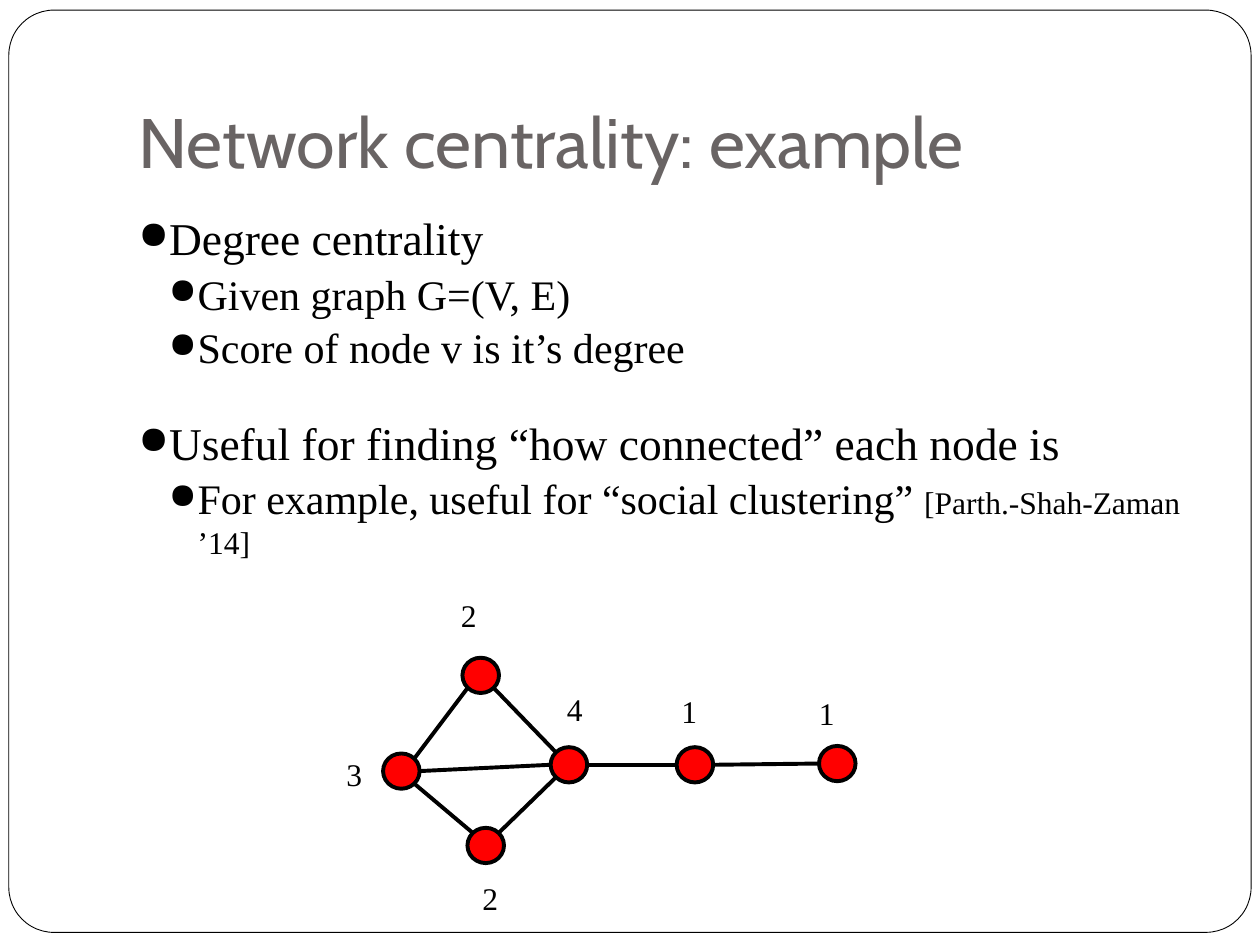
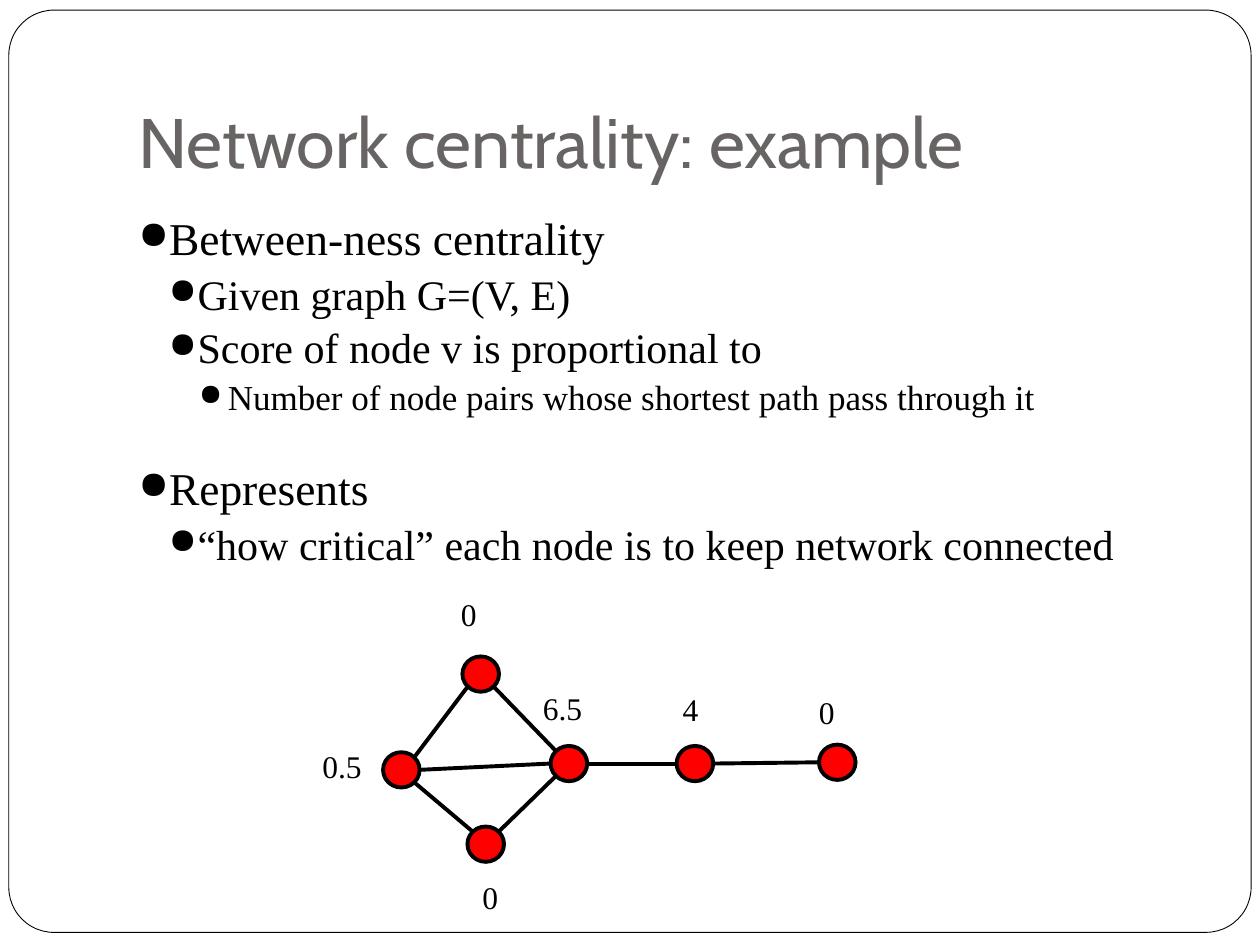
from math import copysign, sqrt

from lxml.etree import SubElement
from pptx import Presentation
from pptx.dml.color import RGBColor
from pptx.enum.shapes import MSO_CONNECTOR, MSO_SHAPE
from pptx.enum.text import MSO_ANCHOR, MSO_AUTO_SIZE, PP_ALIGN
from pptx.oxml.ns import qn
from pptx.util import Inches, Pt

WHITE = RGBColor(0xFF, 0xFF, 0xFF)
BLACK = RGBColor(0x00, 0x00, 0x00)
RED = RGBColor(0xFF, 0x00, 0x00)
GRAY = RGBColor(0x69, 0x64, 0x64)
TITLE_FONT = "Cabin"
BODY_FONT = "Times New Roman"

LEVEL_SIZES = (26, 24, 20)
LEVEL_SPACES = (2.9, 1.85, 1.85)
GROUP_SPACE = 24.5
HANG, LEVEL_STEP = 0.23, 0.24
NODE_W, NODE_H = 0.29, 0.28

NODES = {
    "left": (3.04, 5.98),
    "top": (3.67, 5.22),
    "bottom": (3.71, 6.57),
    "hub": (4.37, 5.93),
    "bridge": (5.37, 5.93),
    "end": (6.5, 5.92),
}
EDGES = [
    ("top", (-1, 1), "left", (1, -1)),
    ("top", (1, 1), "hub", (-1, -1)),
    ("left", (1, 1), "bottom", (-1, -1)),
    ("bottom", (1, -1), "hub", (-1, 1)),
    ("left", (1, 0), "hub", (-1, 0)),
    ("hub", (1, 0), "bridge", (-1, 0)),
    ("bridge", (1, 0), "end", (-1, 0)),
]


def write(p, text, size=18, font=BODY_FONT, color=BLACK):
    r = p.add_run()
    r.text = text
    r.font.size = Pt(size)
    r.font.name = font
    r.font.color.rgb = color


def site(node, direction):
    x, y = NODES[node]
    dx, dy = direction
    reach = 1 / sqrt(dx * dx + dy * dy)
    return (x + NODE_W / 2 * (1 + reach * dx),
            y + NODE_H / 2 * (1 + reach * dy))


class Deck:
    def __init__(self):
        self.prs = Presentation()
        self.prs.slide_width = Inches(10)
        self.prs.slide_height = Inches(7.5)
        self.s = None

    def add_slide(self, title):
        self.s = self.prs.slides.add_slide(self.prs.slide_layouts[5])
        frame = self.shape(MSO_SHAPE.ROUNDED_RECTANGLE, 0.07, 0.08, 9.86, 7.32, WHITE, 0.5)
        frame.adjustments[0] = 0.049
        self.s.shapes._spTree.insert(2, frame._element)
        sp = self.s.shapes.title
        sp.left, sp.top, sp.width, sp.height = map(Inches, (1, 0.3, 8.5, 1.25))
        tf = sp.text_frame
        tf.auto_size = MSO_AUTO_SIZE.NONE
        tf.vertical_anchor = MSO_ANCHOR.BOTTOM
        tf.margin_bottom = Inches(0.1)
        p = tf.paragraphs[0]
        p.alignment = PP_ALIGN.LEFT
        write(p, title, size=40, font=TITLE_FONT, color=GRAY)

    def shape(self, kind, x, y, w, h, fill, line_width):
        sp = self.s.shapes.add_shape(kind, Inches(x), Inches(y), Inches(w), Inches(h))
        sp.shadow.inherit = False
        sp.fill.solid()
        sp.fill.fore_color.rgb = fill
        sp.line.color.rgb = BLACK
        sp.line.width = Pt(line_width)
        return sp

    def line(self, start, end):
        cx = self.s.shapes.add_connector(
            MSO_CONNECTOR.STRAIGHT, *(Inches(v) for v in (*start, *end)))
        cx.line.color.rgb = BLACK
        cx.line.width = Pt(2.25)
        SubElement(cx._element.spPr, qn("a:effectLst"))

    def text_frame(self, x, y, w, h, wrap):
        sp = self.s.shapes.add_textbox(Inches(x), Inches(y), Inches(w), Inches(h))
        sp.text_frame.word_wrap = wrap
        return sp.text_frame

    def label(self, text, x, y):
        width = 0.35 if len(text) == 1 else 0.59
        write(self.text_frame(x, y, width, 0.4, False).paragraphs[0], text)

    def bullets(self, groups, width):
        tf = self.text_frame(1, 1.62, width, 4.96, True)
        p = None
        for group in groups:
            for i, (level, text, *note) in enumerate(group):
                first = p is None
                p = tf.paragraphs[0] if first else tf.add_paragraph()
                pPr = p._p.get_or_add_pPr()
                pPr.set("marL", str(Inches(HANG + LEVEL_STEP * level)))
                pPr.set("indent", str(-Inches(HANG)))
                SubElement(pPr, qn("a:buSzPct"), val="85000")
                SubElement(pPr, qn("a:buChar"), char="●")
                p.level = level
                if not first:
                    p.space_before = Pt(LEVEL_SPACES[level] if i else GROUP_SPACE)
                write(p, text, size=LEVEL_SIZES[level])
                for reference in note:
                    write(p, reference)

    def graph(self, labels, shift=0):
        for a, a_side, b, b_side in EDGES:
            (x1, y1), (x2, y2) = site(a, a_side), site(b, b_side)
            self.line((x1, y1 + shift), (x2, y2 + shift))
        for x, y in NODES.values():
            self.shape(MSO_SHAPE.OVAL, x, y + shift, NODE_W, NODE_H, RED, 2.25)
        for text, x, y in labels:
            self.label(text, x, y)


def main():
    deck = Deck()
    title = "Network centrality: example"

    deck.add_slide(title)
    deck.bullets([
        [(0, "Degree centrality"),
         (1, "Given graph G=(V, E)"),
         (1, "Score of node v is it’s degree")],
        [(0, "Useful for finding “how connected” each node is"),
         (1, "For example, useful for “social clustering” ", "[Parth.-Shah-Zaman ’14]")],
    ], width=8.83)
    deck.graph([
        ("3", 2.65, 5.94), ("2", 3.56, 4.68), ("2", 3.73, 6.93),
        ("4", 4.4, 5.43), ("1", 5.31, 5.44), ("1", 6.4, 5.46),
    ])

    deck.add_slide(title)
    deck.bullets([
        [(0, "Between-ness centrality"),
         (1, "Given graph G=(V, E)"),
         (1, "Score of node v is proportional to"),
         (2, "Number of node pairs whose shortest path pass through it")],
        [(0, "Represents"),
         (1, "“how critical” each node is to keep network connected")],
    ], width=8.5)
    deck.graph([
        ("0.5", 2.46, 5.88), ("0", 3.56, 4.67), ("0", 3.73, 6.92),
        ("6.5", 4.21, 5.42), ("4", 5.32, 5.43), ("0", 6.4, 5.45),
    ], shift=-0.01)

    deck.prs.save("out.pptx")


if __name__ == "__main__":
    main()
